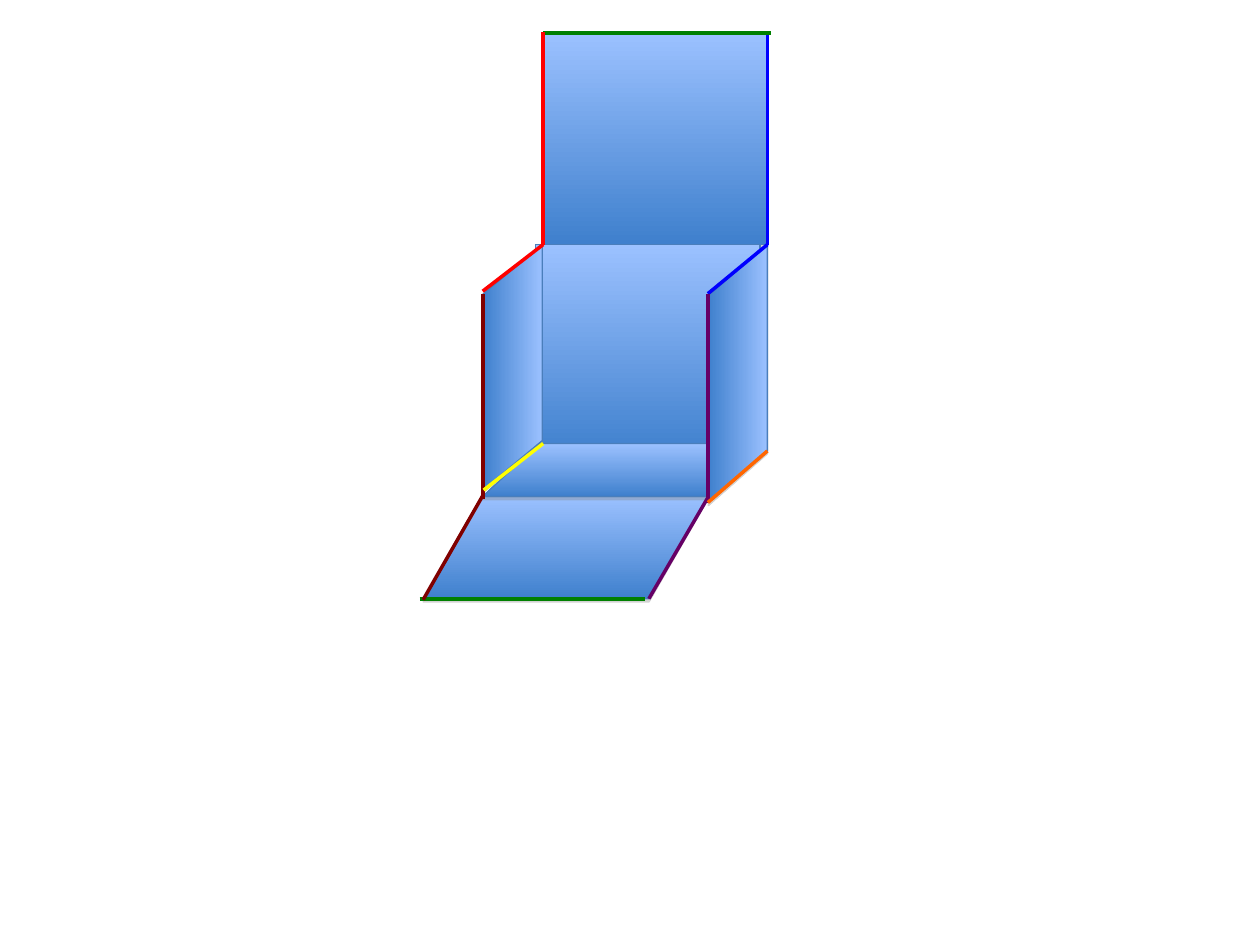
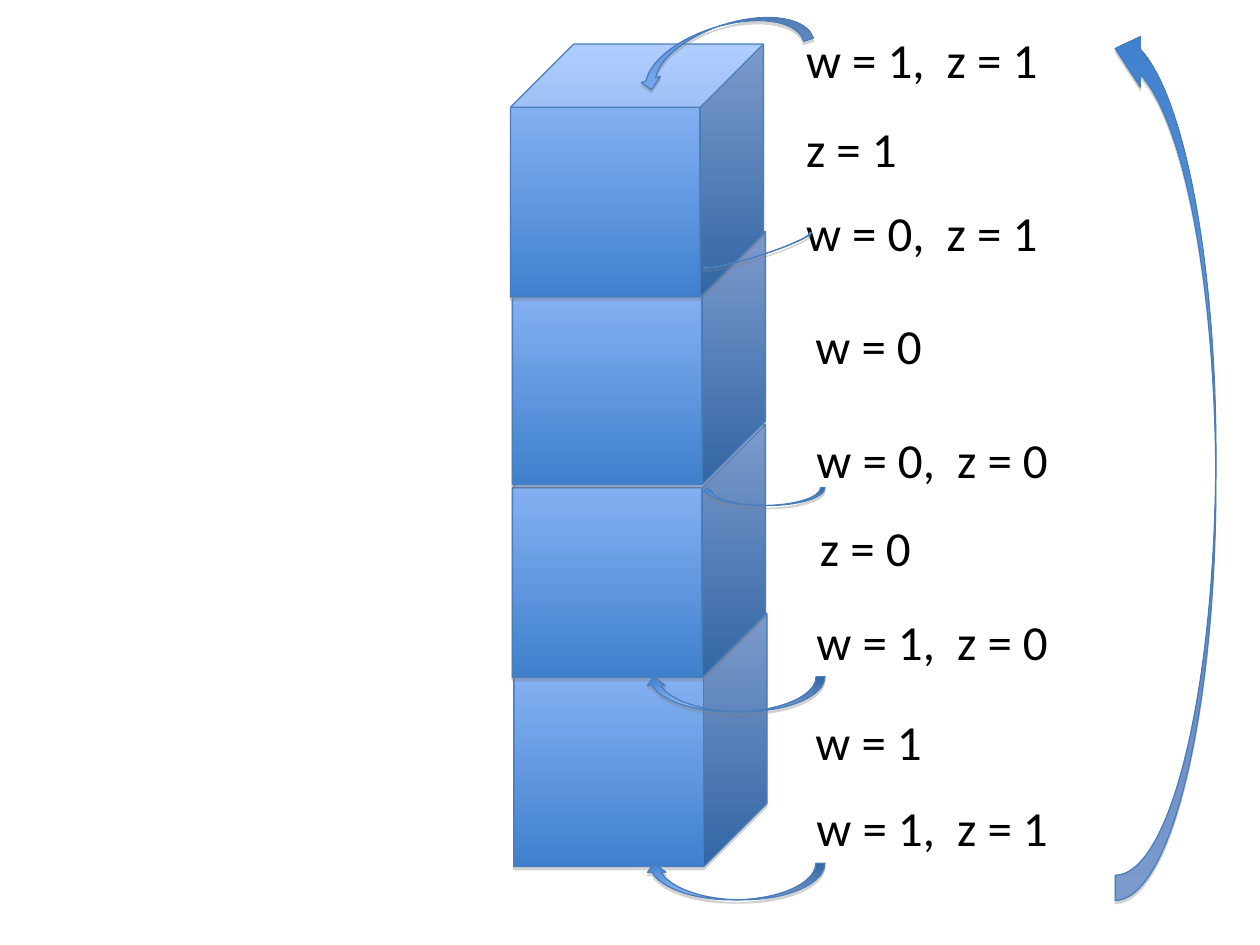
from dataclasses import dataclass

from lxml import etree
from pptx import Presentation
from pptx import util as u
from pptx.dml.color import RGBColor
from pptx.enum import shapes, text
from pptx.oxml.ns import qn

KIND = shapes.MSO_SHAPE


@dataclass(frozen=True)
class Theme:
    light: str = "9BC1FF"
    dark: str = "3F80CD"
    outline: str = "4A7EBB"
    shadow: str = "808080"
    ink: str = "000000"
    red: str = "FF0000"
    blue: str = "0000FF"
    green: str = "008000"
    purple: str = "660066"
    maroon: str = "800000"
    yellow: str = "FFFF00"
    orange: str = "FF6600"
    font: str = "Calibri"
    label_size: int = 28
    outline_width: float = 0.75
    edge_width: float = 2


THEME = Theme()

BOX_FACES = [
    (KIND.PARALLELOGRAM, (8.53, 10.01, 5.74, 2.06), 0, False),
    (KIND.FLOWCHART_PROCESS, (10.95, 0.66, 4.52, 4.27), 0, False),
    (KIND.FLOWCHART_PROCESS, (10.8, 4.93, 4.52, 4.27), 0, False),
    (KIND.FLOWCHART_DATA, (7.87, 6.81, 4.93, 1.19), 90, True),
    (KIND.FLOWCHART_DATA, (9.73, 8.94, 5.74, 1.07), 0, False),
    (KIND.FLOWCHART_DATA, (12.27, 6.93, 5.21, 1.19), 90, True),
]
FLAP_SLANT = 0.575

GLUED_EDGES = [
    (THEME.red, (10.95, 4.93), (9.73, 5.87)),
    (THEME.blue, (15.47, 4.93), (14.27, 5.92)),
    (THEME.green, (8.46, 12.07), (13, 12.07)),
    (THEME.blue, (15.47, 4.93), (15.47, 0.64)),
    (THEME.green, (10.95, 0.66), (15.54, 0.66)),
    (THEME.red, (10.95, 4.93), (10.95, 0.64)),
    (THEME.purple, (14.27, 10.13), (14.27, 5.92)),
    (THEME.maroon, (9.74, 10.06), (9.74, 5.92)),
    (THEME.purple, (13.08, 12.07), (14.27, 10.03)),
    (THEME.maroon, (8.53, 12.09), (9.75, 9.96)),
    (THEME.yellow, (10.95, 8.94), (9.75, 9.88)),
    (THEME.orange, (15.47, 9.09), (14.27, 10.13)),
]

CUBE_SIDE = 5.1
CUBE_CORNERS = [(10.36, 12.37), (10.33, 8.56), (10.33, 4.67), (10.29, 0.89)]

LABELS = [
    ("w = 1,  z = 1", 16, 0.47),
    ("z = 1", 16, 2.26),
    ("w = 0,  z = 1", 16, 3.96),
    ("w = 0", 16.19, 6.23),
    ("w = 0,  z = 0", 16.21, 8.54),
    ("z = 0", 16.28, 10.31),
    ("w = 1,  z = 0", 16.21, 12.2),
    ("w = 1", 16.19, 14.21),
    ("w = 1,  z = 1", 16.21, 15.95),
]
LABEL_HEIGHT = 1.45
LABEL_WIDTHS = {5: 2.75, 13: 5.3}

ARROWS = [
    (KIND.CURVED_DOWN_ARROW, (14.15, 9.83, 2.48, 0.36), 180, False),
    (KIND.CURVED_DOWN_ARROW, (12.73, 0.53, 3.63, 0.81), 162.3, True),
    (KIND.CURVED_DOWN_ARROW, (14.12, 5.03, 2.31, 0.13), 162.3, False),
    (KIND.CURVED_DOWN_ARROW, (13, 13.64, 3.63, 0.71), 180, False),
    (KIND.CURVED_DOWN_ARROW, (13, 17.4, 3.63, 0.74), 180, False),
    (KIND.CURVED_RIGHT_ARROW, (22.48, 0.47, 2.03, 17.68), 180, False),
]


def color(value):
    return RGBColor.from_string(value)


def lengths(values):
    return [u.Cm(value) for value in values]


def add_solid(page, kind, place, rotation=0, flipped=False):
    solid = page.shapes.add_shape(kind, *lengths(place))
    solid.rotation = rotation
    if flipped:
        solid._element.spPr.find(qn("a:xfrm")).set("flipV", "1")
    solid.fill.gradient()
    solid.fill.gradient_angle = 90 if flipped else 270
    for stop, shade in zip(solid.fill.gradient_stops, (THEME.light, THEME.dark)):
        stop.color.rgb = color(shade)
    solid.line.color.rgb = color(THEME.outline)
    solid.line.width = u.Pt(THEME.outline_width)
    solid.shadow.inherit = False
    effects = solid._element.spPr.find(qn("a:effectLst"))
    shadow = etree.SubElement(effects, qn("a:outerShdw"), blurRad="0",
                              dist=str(u.Pt(1.8)), dir="5400000", rotWithShape="0")
    tint = etree.SubElement(shadow, qn("a:srgbClr"), val=THEME.shadow)
    etree.SubElement(tint, qn("a:alpha"), val="35000")
    return solid


def add_edge(page, shade, start, end):
    edge = page.shapes.add_connector(shapes.MSO_CONNECTOR.STRAIGHT, *lengths(start + end))
    edge.line.color.rgb = color(shade)
    edge.line.width = u.Pt(THEME.edge_width)
    etree.SubElement(edge._element.spPr, qn("a:effectLst"))


def add_label(page, words, left, top):
    width = LABEL_WIDTHS[len(words)]
    box = page.shapes.add_textbox(*lengths((left, top, width, LABEL_HEIGHT)))
    frame = box.text_frame
    frame.word_wrap = False
    frame.auto_size = text.MSO_AUTO_SIZE.NONE
    span = frame.paragraphs[0].add_run()
    span.text = words
    span.font.name = THEME.font
    span.font.size = u.Pt(THEME.label_size)
    span.font.color.rgb = color(THEME.ink)


def build_open_box(page):
    for kind, place, rotation, flipped in BOX_FACES:
        face = add_solid(page, kind, place, rotation, flipped)
        if kind == KIND.PARALLELOGRAM:
            face.adjustments[0] = FLAP_SLANT
    for edge in GLUED_EDGES:
        add_edge(page, *edge)


def build_cube_tower(page):
    for corner in CUBE_CORNERS:
        add_solid(page, KIND.CUBE, corner + (CUBE_SIDE, CUBE_SIDE))
    for label in LABELS:
        add_label(page, *label)
    for arrow in ARROWS:
        add_solid(page, *arrow)


def main():
    deck = Presentation()
    deck.slide_width, deck.slide_height = lengths((25.4, 19.05))
    blank = deck.slide_layouts[6]
    for build in (build_open_box, build_cube_tower):
        build(deck.slides.add_slide(blank))
    deck.save("out.pptx")


if __name__ == "__main__":
    main()
